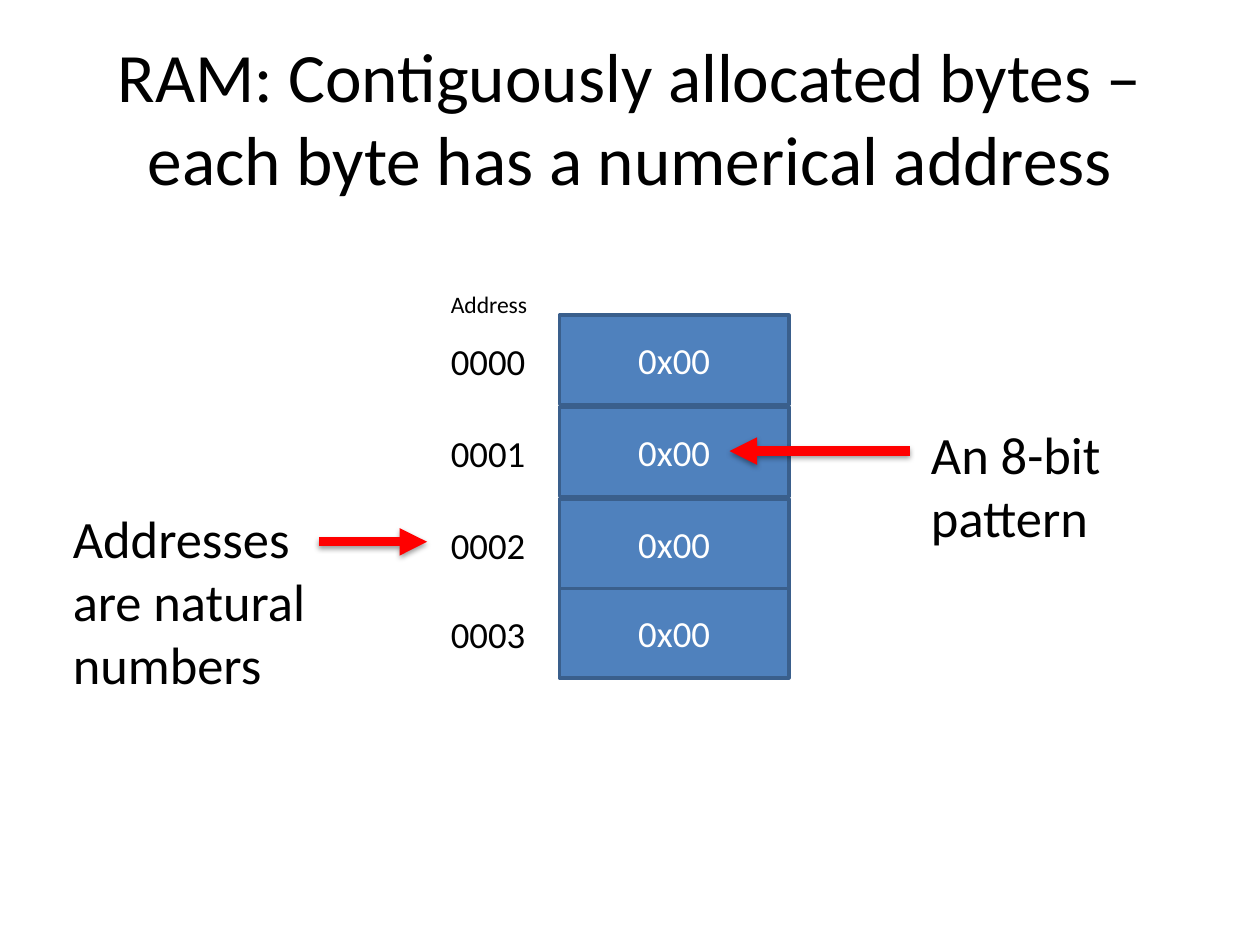
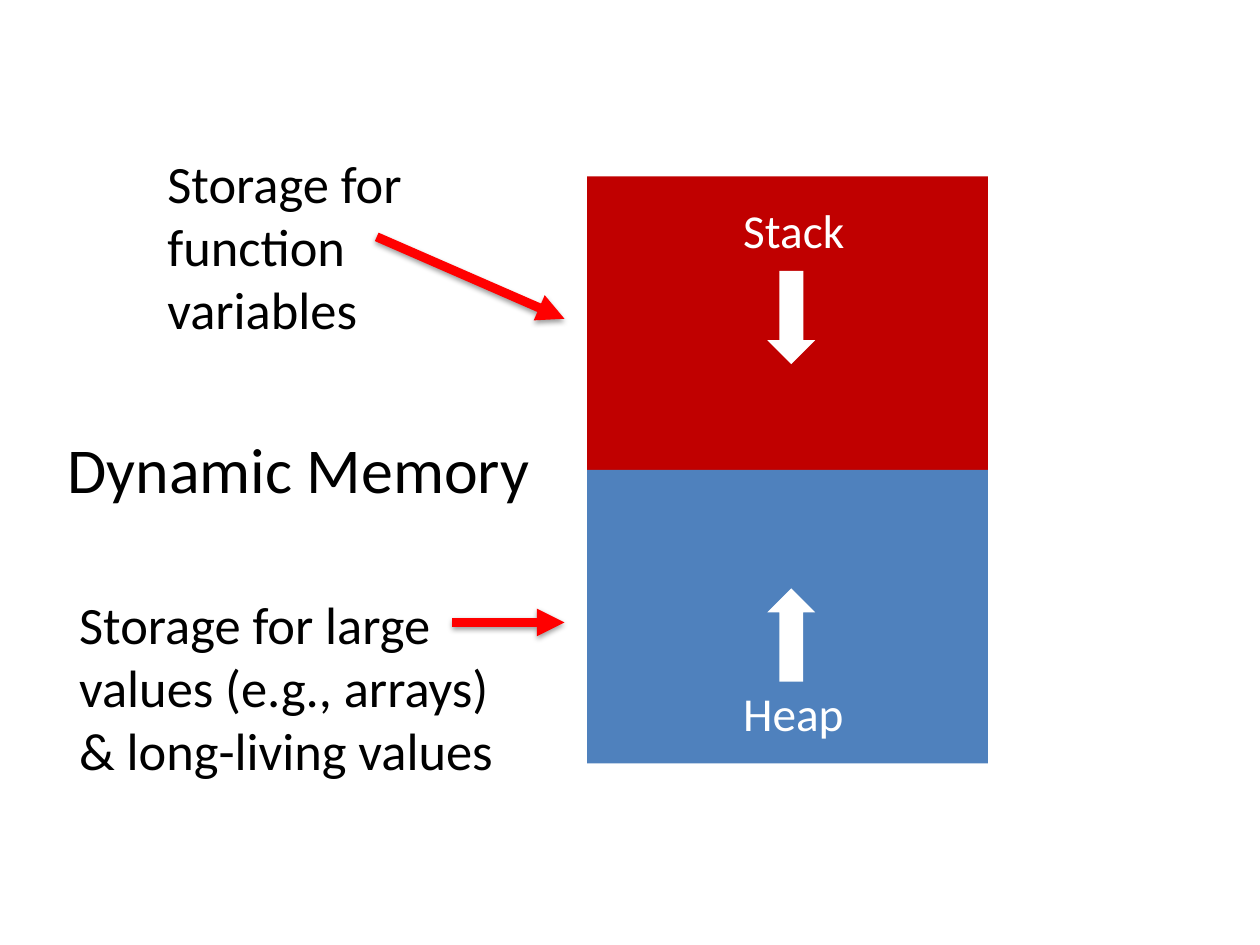
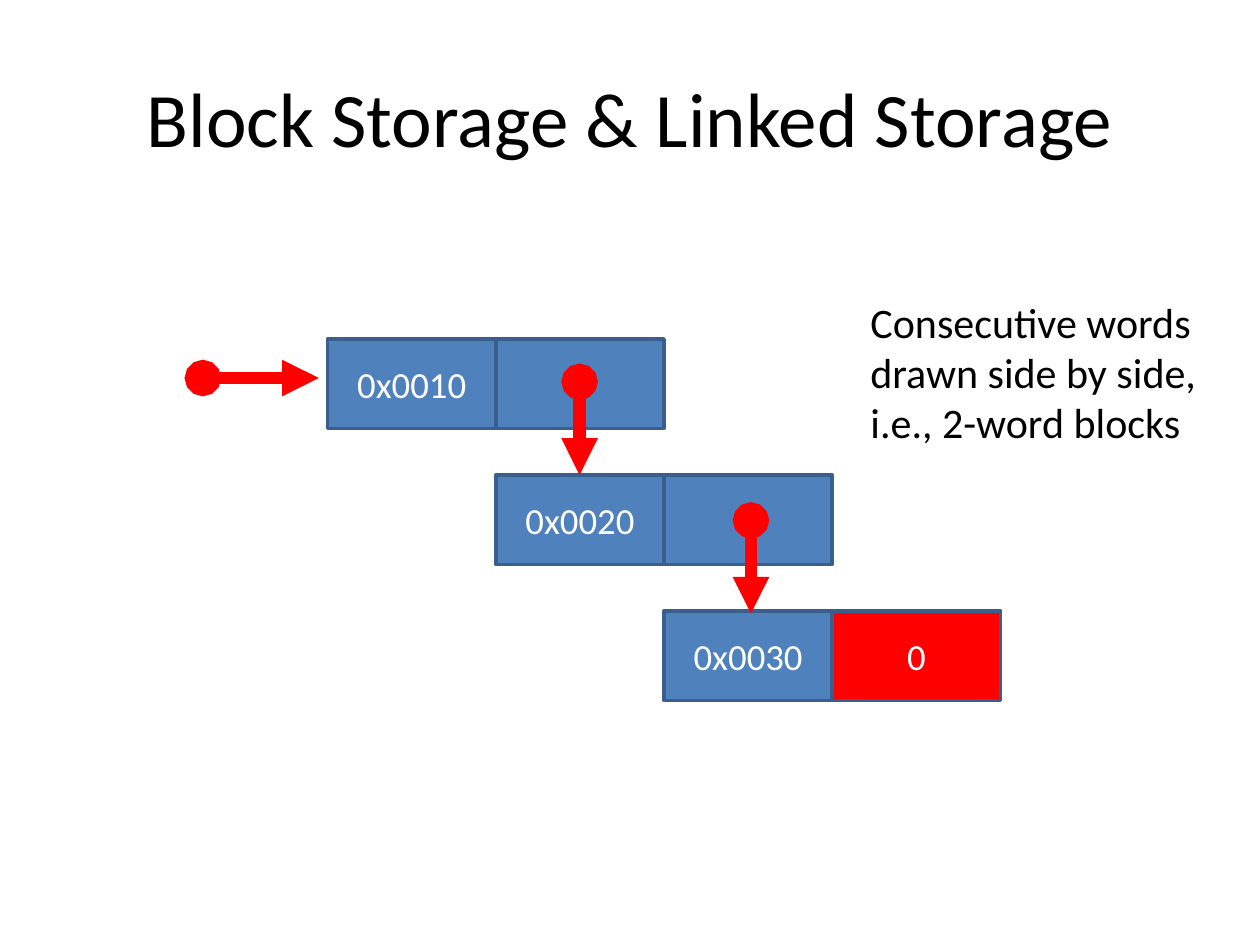
"""Build three slides on memory: bytes in RAM, dynamic memory and linked storage."""
from dataclasses import dataclass
from typing import Any, Optional

from lxml import etree
from pptx import Presentation
from pptx.dml.color import RGBColor
from pptx.enum import shapes, text
from pptx.oxml import ns
from pptx.util import Inches, Pt


@dataclass(frozen=True)
class Theme:
    """Colours, font and type sizes shared by the slides."""
    font: str = "Calibri"
    black: str = "000000"
    white: str = "FFFFFF"
    blue: str = "4F81BD"
    outline: str = "3A5F8C"
    dark_red: str = "C00000"
    red: str = "FF0000"
    title: float = 44
    long_title: float = 39.6
    side_title: float = 36.5
    note: float = 30
    region: float = 27
    small_note: float = 24
    cell: float = 21
    caption: float = 13.5
    outline_width: float = 2
    pointer_width: float = 5.25
    link_width: float = 7


THEME = Theme()


@dataclass(frozen=True)
class Box:
    """A rectangle in inches."""
    left: float
    top: float
    width: float
    height: float

    def lengths(self) -> tuple:
        """Return the four sides as lengths."""
        return tuple(Inches(side) for side in (self.left, self.top, self.width, self.height))


@dataclass(frozen=True)
class Label:
    """A piece of free text."""
    words: str
    box: Box
    size: float
    color: str = THEME.black
    wrap: bool = True


@dataclass(frozen=True)
class Arrow:
    """A red arrow; a link starts with a dot, a pointer casts a shadow."""
    start: tuple[float, float]
    end: tuple[float, float]
    link: bool = False


TITLE_BOX = Box(0.5, 0.3, 9, 1.25)


def add_run(paragraph: Any, words: str, size: float, color: str) -> None:
    """Add one formatted run."""
    run = paragraph.add_run()
    run.text = words
    run.font.name = THEME.font
    run.font.size = Pt(size)
    run.font.color.rgb = RGBColor.from_string(color)


def add_titled_slide(presentation: Any, lines: list[str], size: float, box: Box = TITLE_BOX) -> Any:
    """Add a title-only slide with its title placed and formatted."""
    slide = presentation.slides.add_slide(presentation.slide_layouts[5])
    title = slide.shapes.title
    title.left, title.top, title.width, title.height = box.lengths()
    frame = title.text_frame
    frame.auto_size = text.MSO_AUTO_SIZE.NONE
    frame.vertical_anchor = text.MSO_ANCHOR.MIDDLE
    paragraph = frame.paragraphs[0]
    paragraph.alignment = text.PP_ALIGN.CENTER
    for index, line in enumerate(lines):
        if index:
            paragraph.add_line_break()
        add_run(paragraph, line, size, THEME.black)
    return slide


def add_label(container: Any, label: Label) -> None:
    """Add a text box."""
    frame = container.add_textbox(*label.box.lengths()).text_frame
    frame.word_wrap = label.wrap
    frame.auto_size = text.MSO_AUTO_SIZE.SHAPE_TO_FIT_TEXT
    add_run(frame.paragraphs[0], label.words, label.size, label.color)


def add_block(container: Any, box: Box, fill: str, outline: Optional[str] = None,
              kind: Any = shapes.MSO_SHAPE.RECTANGLE) -> Any:
    """Add a filled shape, with an outline if one is given."""
    shape = container.add_shape(kind, *box.lengths())
    shape.shadow.inherit = False
    shape.fill.solid()
    shape.fill.fore_color.rgb = RGBColor.from_string(fill)
    if outline:
        shape.line.color.rgb = RGBColor.from_string(outline)
        shape.line.width = Pt(THEME.outline_width)
    else:
        shape.line.fill.background()
    return shape


def add_cell(container: Any, box: Box, words: str = "", fill: str = THEME.blue) -> None:
    """Add a memory cell with its centred value."""
    frame = add_block(container, box, fill, THEME.outline).text_frame
    frame.vertical_anchor = text.MSO_ANCHOR.MIDDLE
    if words:
        paragraph = frame.paragraphs[0]
        paragraph.alignment = text.PP_ALIGN.CENTER
        add_run(paragraph, words, THEME.cell, THEME.white)


def add_element(parent: Any, tag: str, **attributes: str) -> Any:
    """Append a drawing element."""
    return etree.SubElement(parent, ns.qn(tag), attributes)


def add_arrow(slide: Any, arrow: Arrow) -> None:
    """Add a straight arrow."""
    points = (Inches(value) for value in arrow.start + arrow.end)
    connector = slide.shapes.add_connector(shapes.MSO_CONNECTOR.STRAIGHT, *points)
    connector.line.color.rgb = RGBColor.from_string(THEME.red)
    connector.line.width = Pt(THEME.link_width if arrow.link else THEME.pointer_width)
    properties = connector._element.spPr
    line = properties.find(ns.qn("a:ln"))
    if arrow.link:
        add_element(line, "a:headEnd", type="oval")
    add_element(line, "a:tailEnd", type="triangle")
    effects = add_element(properties, "a:effectLst")
    if not arrow.link:
        shadow = add_element(effects, "a:outerShdw", blurRad=str(Pt(3.1)), dist=str(Pt(1.6)),
                             dir="5400000", rotWithShape="0")
        color = add_element(shadow, "a:srgbClr", val=THEME.black)
        add_element(color, "a:alpha", val="38000")


def build_ram(presentation: Any) -> None:
    """Draw the column of addressed bytes."""
    slide = add_titled_slide(
        presentation, ["RAM: Contiguously allocated bytes –", "each byte has a numerical address"],
        THEME.long_title)
    column = slide.shapes.add_group_shape().shapes
    for address, top in enumerate((2.5, 3.23, 3.96, 4.67)):
        add_cell(column, Box(4.44, top, 1.82, 0.71), "0x00")
        add_label(column, Label(f"{address:04}", Box(3.48, top + 0.14, 0.83, 0.45), THEME.cell))
    for label in (
        Label("Address", Box(3.48, 2.25, 0.82, 0.33), THEME.caption, wrap=False),
        Label("Addresses are natural numbers", Box(0.48, 3.97, 2.06, 1.62), THEME.note),
        Label("An 8-bit pattern", Box(7.29, 3.3, 1.82, 1.11), THEME.note),
    ):
        add_label(slide.shapes, label)
    add_arrow(slide, Arrow((2.53, 4.3), (3.39, 4.3)))
    add_arrow(slide, Arrow((7.22, 3.58), (5.79, 3.58)))


def build_dynamic_memory(presentation: Any) -> None:
    """Draw the stack and the heap growing towards each other."""
    slide = add_titled_slide(presentation, ["Dynamic Memory"], THEME.side_title,
                             Box(0.41, 3.17, 3.92, 1.09))
    add_block(slide.shapes, Box(4.66, 1.4, 3.18, 2.33), THEME.dark_red)
    add_block(slide.shapes, Box(4.66, 3.73, 3.18, 2.33), THEME.blue)
    for label in (
        Label("Storage for large values (e.g., arrays) & long-living values",
              Box(0.53, 4.65, 3.56, 1.62), THEME.note),
        Label("Storage for function variables", Box(1.23, 1.15, 2.45, 1.62), THEME.note),
        Label("Stack", Box(5.8, 1.55, 1.01, 0.56), THEME.region, THEME.white, False),
        Label("Heap", Box(5.8, 5.38, 1, 0.56), THEME.region, THEME.white, False),
    ):
        add_label(slide.shapes, label)
    for top, rotation in ((2.33, 90), (4.85, 270)):
        growth = add_block(slide.shapes, Box(5.91, top, 0.74, 0.38), THEME.white,
                           kind=shapes.MSO_SHAPE.RIGHT_ARROW)
        growth.rotation = rotation
    add_arrow(slide, Arrow((2.99, 1.88), (4.48, 2.53)))
    add_arrow(slide, Arrow((3.59, 4.94), (4.48, 4.94)))


def build_linked_storage(presentation: Any) -> None:
    """Draw the chain of two-word blocks."""
    slide = add_titled_slide(presentation, ["Block Storage & Linked Storage"], THEME.title)
    add_arrow(slide, Arrow((1.61, 3), (2.53, 3), link=True))
    word_width, block_step = 1.335, 1.08
    blocks = (("0x0010", "", THEME.blue), ("0x0020", "", THEME.blue), ("0x0030", "0", THEME.red))
    for index, (value, following, fill) in enumerate(blocks):
        left, top = 2.6 + index * word_width, 2.69 + index * block_step
        block = slide.shapes.add_group_shape().shapes
        add_cell(block, Box(left, top, word_width, 0.71), value)
        add_cell(block, Box(left + word_width, top, word_width, 0.71), following, fill)
    add_arrow(slide, Arrow((4.6, 3.03), (4.6, 3.77), link=True))
    add_arrow(slide, Arrow((5.96, 4.13), (5.96, 4.87), link=True))
    add_label(slide.shapes, Label("Consecutive words drawn side by side, i.e., 2-word blocks",
                                  Box(6.81, 2.3, 3.01, 1.31), THEME.small_note))


def main() -> None:
    """Build and save the presentation."""
    presentation = Presentation()
    presentation.slide_width, presentation.slide_height = Inches(10), Inches(7.5)
    build_ram(presentation)
    build_dynamic_memory(presentation)
    build_linked_storage(presentation)
    presentation.save("out.pptx")


if __name__ == "__main__":
    main()
